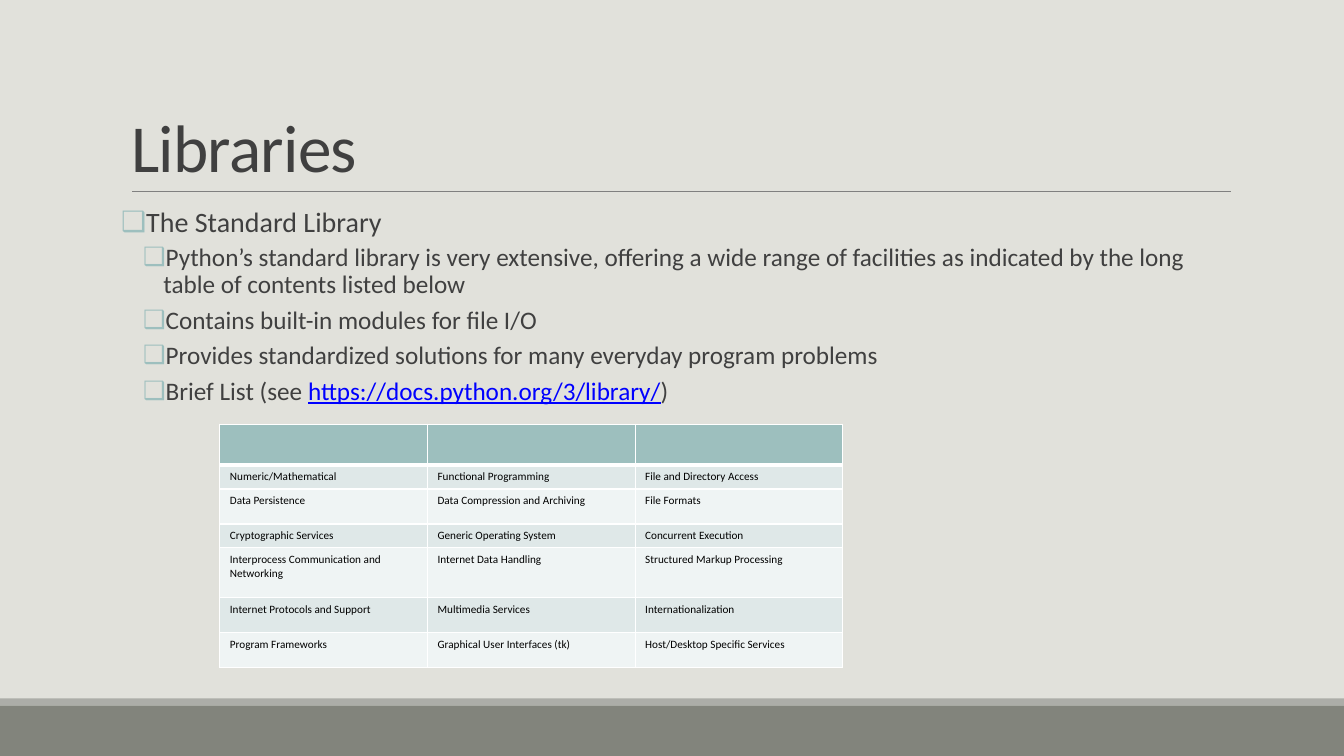
from dataclasses import dataclass

from lxml import etree
from pptx import Presentation
from pptx import util as u
from pptx.dml.color import RGBColor
from pptx.enum import shapes, text
from pptx.oxml.ns import qn


@dataclass(frozen=True)
class Theme:
    font: str = "Calibri"
    back: str = "E1E1DB"
    band: str = "82847C"
    strip: str = "ACADA8"
    rule: str = "808080"
    ink: str = "404040"
    mark: str = "9DBFBE"
    link: str = "0000FF"
    cell: str = "000000"
    edge: str = "FFFFFF"
    rows: tuple = ("EFF4F4", "DFE8E8")
    title: int = 48
    lead: int = 20
    item: int = 18
    small: int = 8


THEME = Theme()
URL = "https://docs.python.org/3/library/"
POINTS = [
    ["Python’s standard library is very extensive, offering a wide range of "
     "facilities as indicated by the long table of contents listed below"],
    ["Contains built-in modules for file I/O"],
    ["Provides standardized solutions for many everyday program problems"],
    ["Brief List (see ", URL, ")"],
]
TOPICS = [
    ("", "", ""),
    ("Numeric/Mathematical", "Functional Programming", "File and Directory Access"),
    ("Data Persistence", "Data Compression and Archiving", "File Formats"),
    ("Cryptographic Services", "Generic Operating System", "Concurrent Execution"),
    ("Interprocess Communication and Networking", "Internet Data Handling",
     "Structured Markup Processing"),
    ("Internet Protocols and Support", "Multimedia Services", "Internationalization"),
    ("Program Frameworks", "Graphical User Interfaces (tk)",
     "Host/Desktop Specific Services"),
]
HEIGHTS = [1.02, 0.6, 0.88, 0.6, 1.26, 0.88, 0.88]


def paint(fill, tone):
    fill.solid()
    fill.fore_color.rgb = RGBColor.from_string(tone)


def style(font, size, tone):
    font.name = THEME.font
    font.size = u.Pt(size)
    font.color.rgb = RGBColor.from_string(tone)


def place(shape, box):
    shape.left, shape.top, shape.width, shape.height = map(u.Cm, box)


def add_band(slide, box):
    left, top, width, height = box
    strip = 0.18
    parts = [(top, strip, THEME.strip), (top + strip, height - strip, THEME.band)]
    for y, tall, tone in parts:
        bar = slide.shapes.add_shape(
            shapes.MSO_SHAPE.RECTANGLE, *map(u.Cm, (left, y, width, tall)))
        bar.shadow.inherit = False
        paint(bar.fill, tone)
        bar.line.fill.background()


def add_title(slide, box):
    left, top, width, height = box
    title = slide.shapes.title
    place(title, box)
    frame = title.text_frame
    frame.auto_size = text.MSO_AUTO_SIZE.NONE
    frame.vertical_anchor = text.MSO_ANCHOR.BOTTOM
    para = frame.paragraphs[0]
    para.alignment = text.PP_ALIGN.LEFT
    para.line_spacing = 0.85
    run = para.add_run()
    run.text = "Libraries"
    run._r.get_or_add_rPr().set("spc", "-50")
    style(para.font, THEME.title, THEME.ink)

    base = top + height
    rule = slide.shapes.add_connector(
        shapes.MSO_CONNECTOR.STRAIGHT,
        *map(u.Cm, (left + 0.28, base, left + width + 0.02, base)))
    rule.line.width = u.Pt(0.5)
    rule.line.color.rgb = RGBColor.from_string(THEME.rule)
    etree.SubElement(rule._element.spPr, qn("a:effectLst"))


def add_mark(para, left, hang):
    props = para._p.get_or_add_pPr()
    props.set("marL", str(u.Cm(left)))
    props.set("indent", str(-u.Cm(hang)))
    tone = etree.SubElement(props, qn("a:buClr"))
    etree.SubElement(tone, qn("a:srgbClr"), val=THEME.mark)
    etree.SubElement(props, qn("a:buChar"), char="❑")


def add_list(slide, box):
    body = slide.placeholders[1]
    place(body, box)
    frame = body.text_frame
    frame.auto_size = text.MSO_AUTO_SIZE.NONE
    frame.vertical_anchor = text.MSO_ANCHOR.TOP
    frame.margin_left = frame.margin_right = 0
    for index, parts in enumerate([["The Standard Library"]] + POINTS):
        para = frame.add_paragraph() if index else frame.paragraphs[0]
        para.level = 1 if index else 0
        para.alignment = text.PP_ALIGN.LEFT
        para.line_spacing = 0.9
        para.space_before = u.Pt(2 if index else 12)
        para.space_after = u.Pt(4 if index else 2)
        add_mark(para, *((1.07, 0.51) if index else (0.25, 0.25)))
        style(para.font, THEME.item if index else THEME.lead, THEME.ink)
        for part in parts:
            run = para.add_run()
            run.text = part
            if part == URL:
                run.font.underline = True
                run.font.color.rgb = RGBColor.from_string(THEME.link)


def add_edges(cell, row):
    props = cell._tc.get_or_add_tcPr()
    thick = {(0, "B"), (1, "T")}
    for side in "LRTB":
        width = 3 if (row, side) in thick else 1
        line = etree.SubElement(props, qn("a:ln" + side), w=str(u.Pt(width)))
        fill = etree.SubElement(line, qn("a:solidFill"))
        etree.SubElement(fill, qn("a:srgbClr"), val=THEME.edge)


def add_grid(slide, box):
    frame = slide.shapes.add_table(len(TOPICS), len(TOPICS[0]), *map(u.Cm, box))
    grid = frame.table
    for col in grid.columns:
        col.width = u.Cm(box[2] / len(TOPICS[0]))
    for row, (names, tall) in enumerate(zip(TOPICS, HEIGHTS)):
        grid.rows[row].height = u.Cm(tall)
        for col, name in enumerate(names):
            cell = grid.cell(row, col)
            add_edges(cell, row)
            paint(cell.fill, THEME.rows[row % 2] if row else THEME.mark)
            if name:
                cell.text = name
                para = cell.text_frame.paragraphs[0]
                style(para.font, THEME.small, THEME.cell)
                para.font.bold = False


def main():
    deck = Presentation()
    deck.slide_width, deck.slide_height = u.Cm(33.87), u.Cm(19.05)
    slide = deck.slides.add_slide(deck.slide_layouts[1])
    paint(slide.background.fill, THEME.back)
    add_band(slide, (0, 17.6, 33.87, 1.45))
    add_title(slide, (3.05, 0.79, 27.94, 4.04))
    add_list(slide, (3.05, 5.13, 27.94, 11.18))
    add_grid(slide, (5.54, 10.69, 15.7, sum(HEIGHTS)))
    deck.save("out.pptx")


if __name__ == "__main__":
    main()
